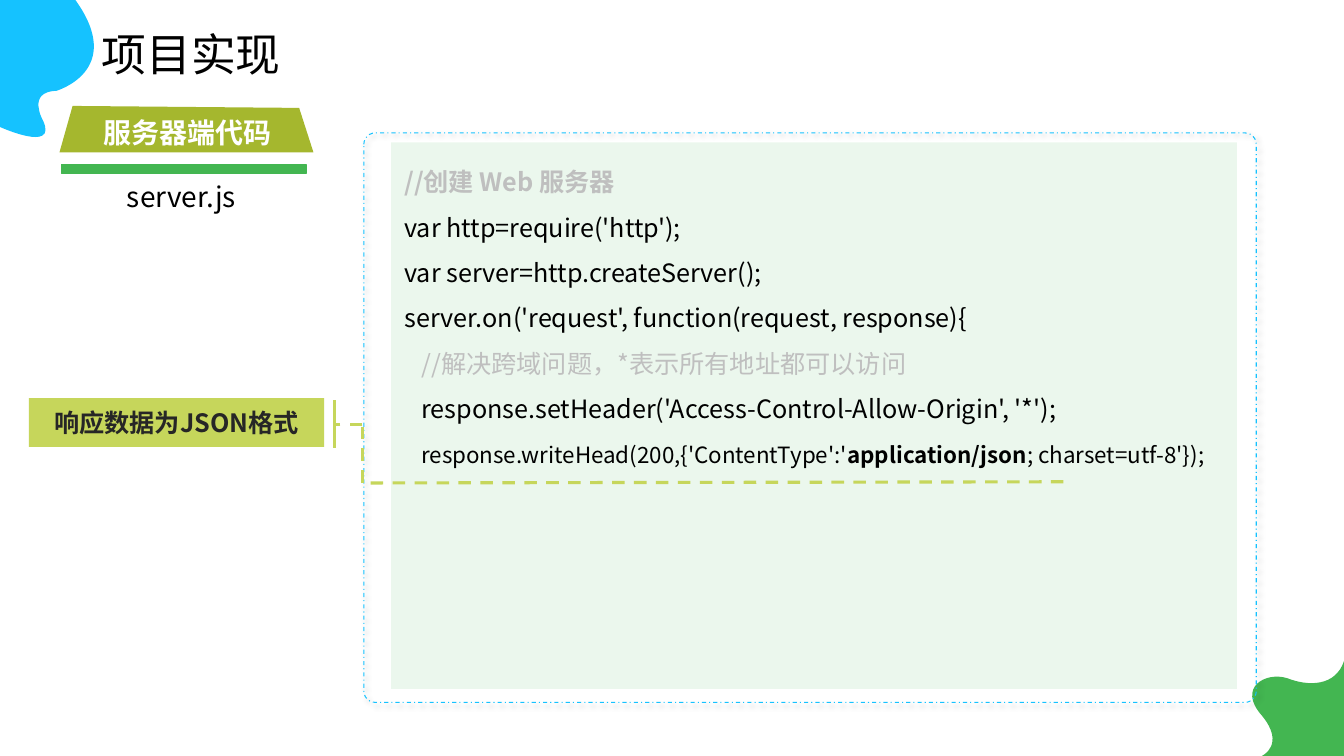
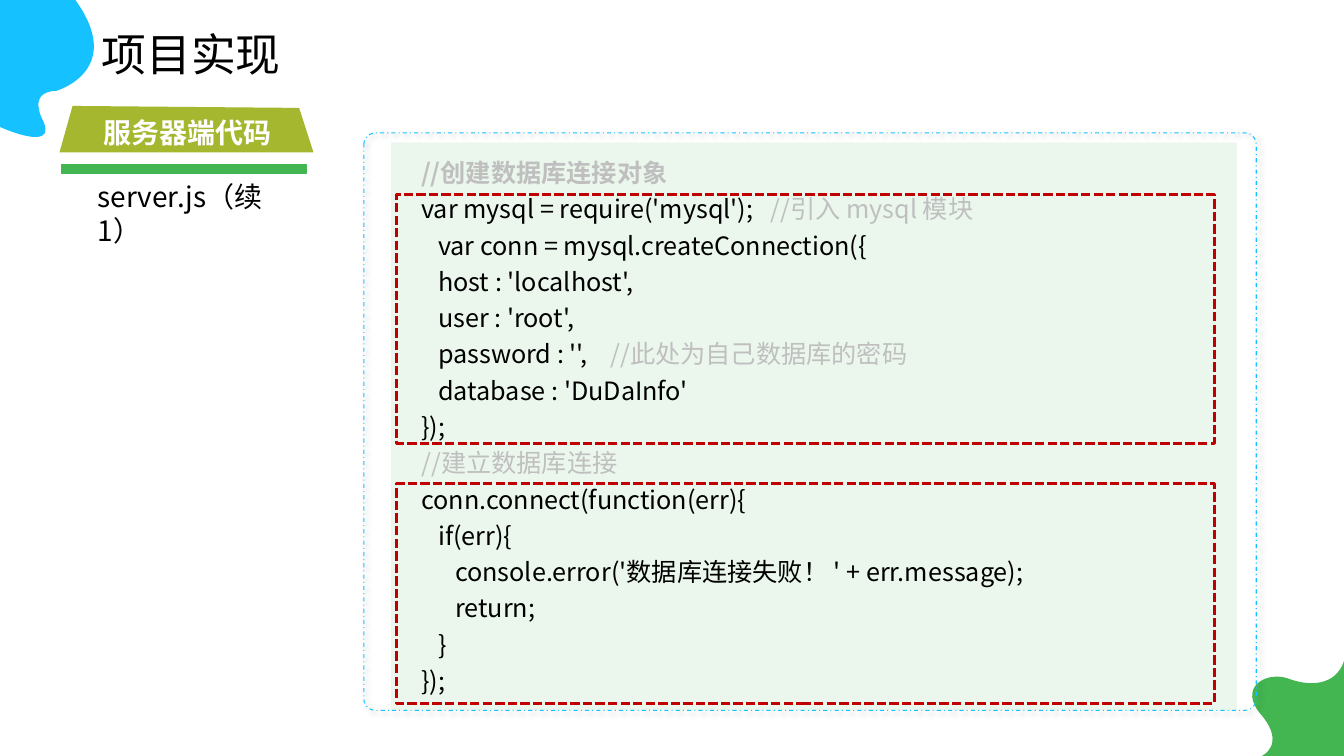
from lxml import etree
from pptx import Presentation
from pptx.dml.color import RGBColor
from pptx.enum.dml import MSO_LINE
from pptx.enum.shapes import MSO_CONNECTOR, MSO_SHAPE
from pptx.enum.text import MSO_ANCHOR, PP_ALIGN
from pptx.oxml.ns import qn
from pptx.util import Cm, Pt

RECTANGLE = MSO_SHAPE.RECTANGLE
ROUNDED = MSO_SHAPE.ROUNDED_RECTANGLE
STRAIGHT = MSO_CONNECTOR.STRAIGHT
DASH = MSO_LINE.DASH
DASH_DOT = MSO_LINE.DASH_DOT
SHORT_DASH = MSO_LINE.SQUARE_DOT
MIDDLE = MSO_ANCHOR.MIDDLE
CENTER = PP_ALIGN.CENTER

BLUE = RGBColor(0x15, 0xC2, 0xFF)
GREEN = RGBColor(0x43, 0xB6, 0x51)
OLIVE = RGBColor(0xA5, 0xB7, 0x2E)
LIME = RGBColor(0xC6, 0xD6, 0x5B)
RED = RGBColor(0xC0, 0x00, 0x00)
GRAY = RGBColor(0xBF, 0xBF, 0xBF)
DARK = RGBColor(0x26, 0x26, 0x26)
BLACK = RGBColor(0x00, 0x00, 0x00)
WHITE = RGBColor(0xFF, 0xFF, 0xFF)
FONT = "Noto Sans CJK SC"

BLUE_BLOB = [
    (0, 3.2),
    (0, 3.2), (1.45, 3.86), (1.09, 3.05),
    (1.09, 3.05), (0.66, 2.31), (1.42, 2.29),
    (1.42, 2.29), (3.18, 1.78), (1.9, 0),
    (0, 0), (0, 0), (0, 0),
]
GREEN_BLOB = [
    (31.8, 19.05),
    (31.8, 19.05), (32.41, 18.77), (31.8, 18.03),
    (31.17, 17.32), (31.9, 16.92), (32.44, 17.09),
    (32.97, 17.3), (33.66, 17.3), (33.87, 16.66),
    (33.87, 19.05), (33.87, 19.05), (33.87, 19.05),
]
LABEL_TAB = [(1.83, 2.67), (7.54, 2.72), (7.9, 3.84), (1.5, 3.84)]
OUTLINES = [(BLUE_BLOB, BLUE, True), (GREEN_BLOB, GREEN, True), (LABEL_TAB, OLIVE, False)]

SERVER_CODE = [
    ["//创建 Web 服务器"],
    ["var http=require('http');"],
    ["var server=http.createServer();"],
    ["server.on('request', function(request, response){"],
    ["   ", "//解决跨域问题，*表示所有地址都可以访问"],
    ["   response.setHeader('Access-Control-Allow-Origin', '*');"],
    ["   ", "response.writeHead(200,{'ContentType':'", "application/json", "; charset=utf-8'});"],
]
DATABASE_CODE = [
    ["   ", "//创建数据库连接对象"],
    ["   var mysql = require('mysql');   ", "//引入 mysql 模块"],
    ["      var conn = mysql.createConnection({"],
    ["      host : 'localhost',"],
    ["      user : 'root',"],
    ["      password : '',    ", "//此处为自己数据库的密码"],
    ["      database : 'DuDaInfo'"],
    ["   });"],
    ["   ", "//建立数据库连接"],
    ["   conn.connect(function(err){"],
    ["      if(err){"],
    ["         console.error('数据库连接失败！ ' + err.message);"],
    ["         return;"],
    ["      }"],
    ["   });"],
]
PAGES = [
    ("server.js", (2.95, 4.39), SERVER_CODE, 1.5, 13.77, 14.35),
    ("server.js（续1）", (2.21, 5.03), DATABASE_CODE, 1.2, 14.3, 14.55),
]


def style_shape(shape, fill=None, line=None, width=1, dash=None):
    shape.shadow.inherit = False
    if fill is None:
        shape.fill.background()
    else:
        shape.fill.solid()
        shape.fill.fore_color.rgb = fill
    if line is None:
        shape.line.fill.background()
    else:
        shape.line.color.rgb = line
        shape.line.width = Pt(width)
        shape.line.dash_style = dash


def write_text(shape, lines, size, color, bold=False, wrap=True, spacing=None):
    frame = shape.text_frame
    frame.word_wrap = wrap
    for index, segments in enumerate(lines):
        paragraph = frame.add_paragraph() if index else frame.paragraphs[0]
        if spacing:
            paragraph.line_spacing = spacing
        for segment in segments:
            run = paragraph.add_run()
            run.text = segment
            run.font.size = Pt(size)
            run.font.bold = bold
            run.font.name = FONT
            run.font.color.rgb = GRAY if segment.startswith("//") else color
            east_asian = etree.SubElement(run.font._element, qn("a:ea"))
            east_asian.set("typeface", FONT)
    return frame.paragraphs


presentation = Presentation()
presentation.slide_width = Cm(33.87)
presentation.slide_height = Cm(19.05)
slides = []
code_paragraphs = []

for file_name, (file_left, file_width), code, spacing, panel_height, frame_height in PAGES:
    slide = presentation.slides.add_slide(presentation.slide_layouts[6])
    shapes = slide.shapes
    slides.append(slide)

    for points, color, curved in OUTLINES:
        corners = [(Cm(x), Cm(y)) for x, y in points]
        builder = shapes.build_freeform(*corners[0], scale=1.0)
        builder.add_line_segments(corners[1:], close=True)
        outline = builder.convert_to_shape()
        style_shape(outline, color)
        if curved:
            segments = list(outline._element.iter(qn("a:lnTo")))
            for first in range(0, len(points) - 1, 3):
                curve = etree.Element(qn("a:cubicBezTo"))
                segments[first].addprevious(curve)
                for segment in segments[first:first + 3]:
                    curve.append(segment[0])
                    segment.getparent().remove(segment)

    panel = shapes.add_shape(RECTANGLE, Cm(9.86), Cm(3.59), Cm(21.31), Cm(panel_height))
    style_shape(panel, GREEN)
    panel_color = panel._element.spPr.find(qn("a:solidFill"))[0]
    etree.SubElement(panel_color, qn("a:alpha")).set("val", "10000")

    border = shapes.add_shape(ROUNDED, Cm(9.17), Cm(3.35), Cm(22.49), Cm(frame_height))
    border.adjustments[0] = 0.02
    style_shape(border, None, BLUE, 0.75, DASH_DOT)
    effects = border._element.spPr.find(qn("a:effectLst"))
    shadow = etree.SubElement(effects, qn("a:outerShdw"), blurRad=str(Pt(4)), dist=str(Pt(3)), dir="2700000")
    shadow_color = etree.SubElement(shadow, qn("a:srgbClr"), val="000000")
    etree.SubElement(shadow_color, qn("a:alpha")).set("val", "40000")

    code_box = shapes.add_textbox(Cm(9.94), Cm(3.69), Cm(21.69), Cm(panel_height))
    paragraphs = write_text(code_box, code, 18, BLACK, spacing=spacing)
    paragraphs[0].runs[-1].font.bold = True
    code_paragraphs.append(paragraphs)

    title = shapes.add_textbox(Cm(2.31), Cm(0.56), Cm(5.03), Cm(1.63))
    write_text(title, [["项目实现"]], 32, BLACK, wrap=False)
    file_label = shapes.add_textbox(Cm(file_left), Cm(4.4), Cm(file_width), Cm(1.12))
    write_text(file_label, [[file_name]], 20, BLACK)
    bar = shapes.add_shape(RECTANGLE, Cm(1.55), Cm(4.14), Cm(6.16), Cm(0.23))
    style_shape(bar, GREEN, GREEN)
    section_label = shapes.add_textbox(Cm(2.36), Cm(2.79), Cm(4.75), Cm(1.12))
    write_text(section_label, [["服务器端代码"]], 20, WHITE, bold=True, wrap=False)

server_slide, database_slide = slides

header_runs = code_paragraphs[0][-1].runs
for run in header_runs[1:]:
    run.font.size = Pt(16)
header_runs[2].font.bold = True

callout = server_slide.shapes.add_shape(RECTANGLE, Cm(0.73), Cm(10.03), Cm(7.44), Cm(1.23))
style_shape(callout, LIME)
callout.text_frame.vertical_anchor = MIDDLE
write_text(callout, [["响应数据为JSON格式"]], 18, DARK, bold=True)[0].alignment = CENTER

for x1, y1, x2, y2, dash in [
    (26.8, 12.14, 9.13, 12.17, DASH),
    (9.13, 12.17, 9.13, 10.69, DASH),
    (9.13, 10.69, 8.43, 10.69, DASH),
    (8.43, 10.08, 8.43, 11.28, None),
]:
    connector = server_slide.shapes.add_connector(STRAIGHT, Cm(x1), Cm(y1), Cm(x2), Cm(y2))
    connector.line.color.rgb = LIME
    connector.line.width = Pt(2.25)
    connector.line.dash_style = dash
    etree.SubElement(connector._element.spPr, qn("a:effectLst"))

for top, height in [(4.9, 6.27), (12.19, 5.54)]:
    highlight = database_slide.shapes.add_shape(RECTANGLE, Cm(10), Cm(top), Cm(20.6), Cm(height))
    style_shape(highlight, None, RED, 2.25, SHORT_DASH)

presentation.save("out.pptx")
